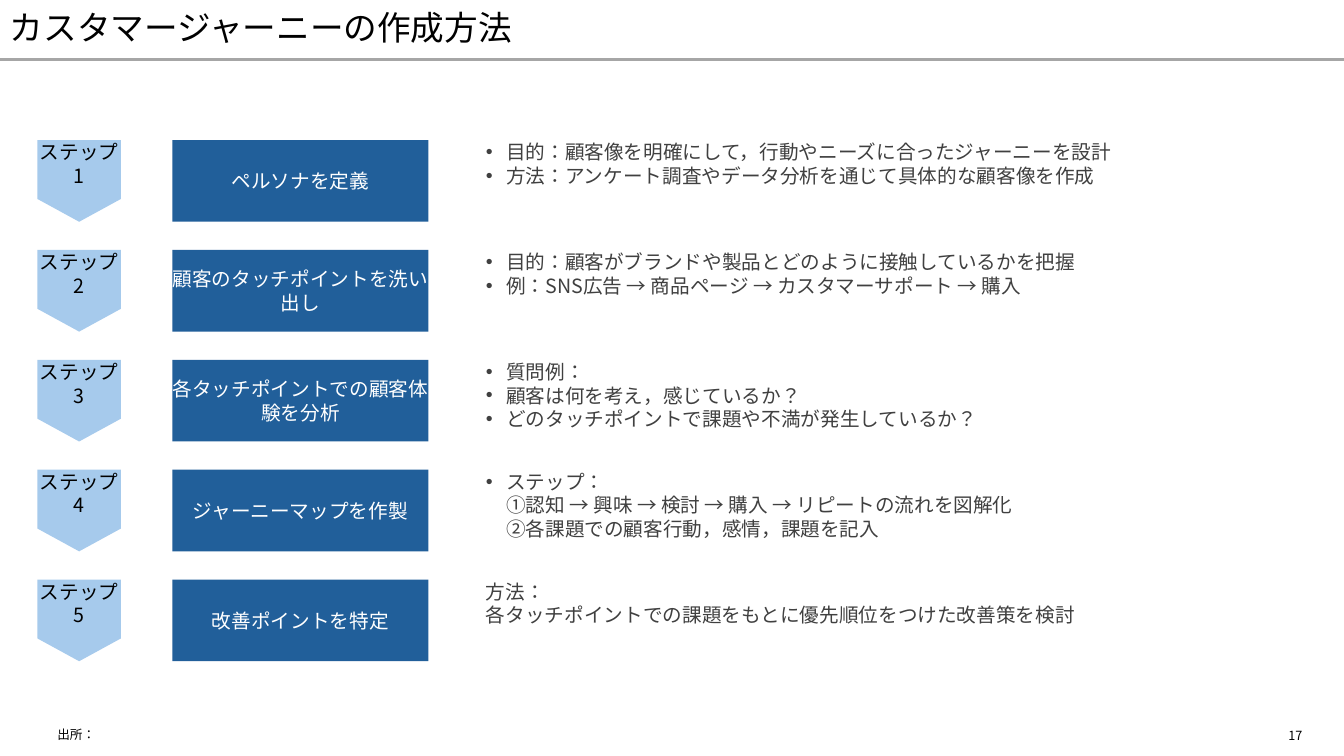
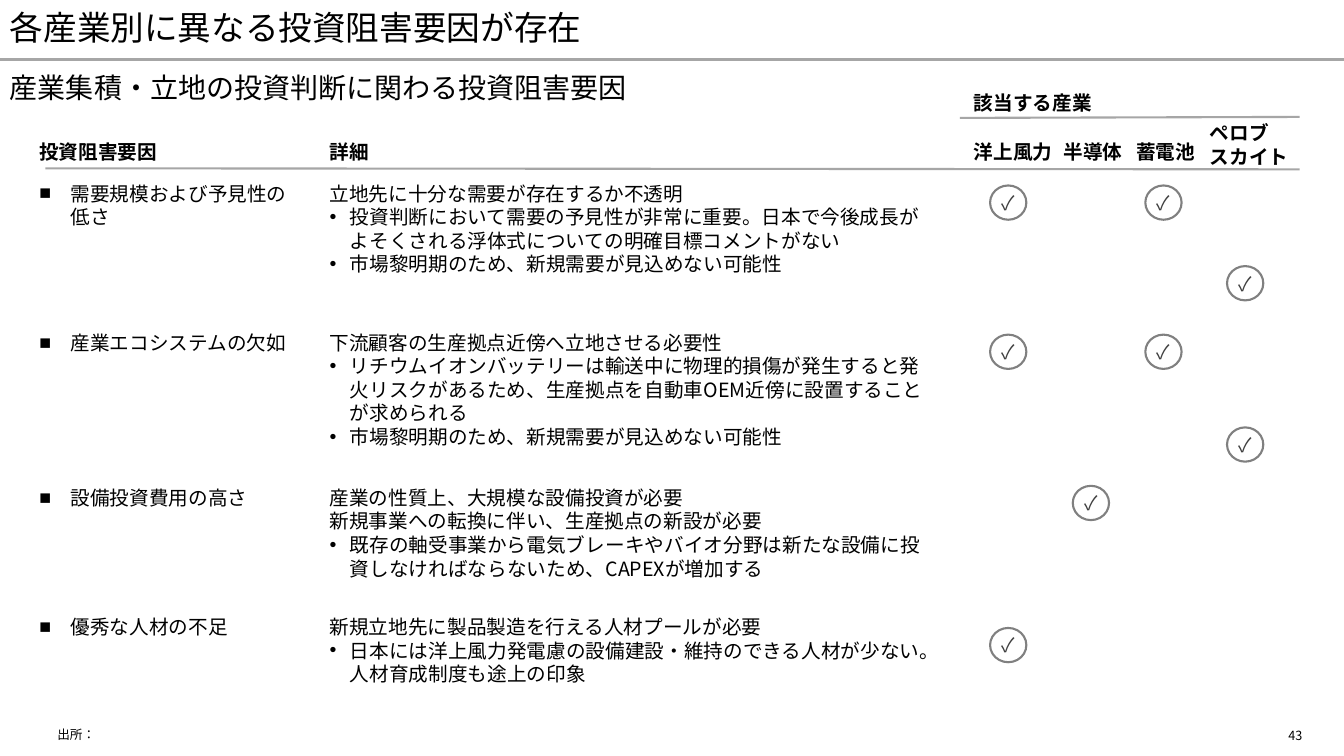
from dataclasses import dataclass

from lxml import etree
from pptx import Presentation
from pptx.dml.color import RGBColor
from pptx.enum.lang import MSO_LANGUAGE_ID
from pptx.enum.shapes import MSO_CONNECTOR, MSO_SHAPE
from pptx.enum.text import MSO_ANCHOR, PP_ALIGN
from pptx.oxml.ns import qn
from pptx.util import Inches, Pt

RECT, PLATE, OVAL = MSO_SHAPE.RECTANGLE, MSO_SHAPE.PENTAGON, MSO_SHAPE.OVAL
STRAIGHT = MSO_CONNECTOR.STRAIGHT
TOP, MID = MSO_ANCHOR.TOP, MSO_ANCHOR.MIDDLE
LEFT, MIDST = PP_ALIGN.LEFT, PP_ALIGN.CENTER
JAPAN = MSO_LANGUAGE_ID.JAPANESE


@dataclass(frozen=True)
class Theme:
    font: str = "Noto Sans CJK JP"
    ink: str = "000000"
    soft: str = "404040"
    white: str = "FFFFFF"
    navy: str = "215F9A"
    sky: str = "A6CAEC"
    rule: str = "A6A6A6"
    ring: str = "808080"
    title: int = 24
    sub: int = 20
    body: int = 14
    foot: int = 9


T = Theme()
WIDE, HIGH, BAND = 13.33, 7.5, 0.59

# Paragraph styles: left margin, first-line indent, bullet element, its attributes
STYLES = {
    "dot": (0.2, -0.2, "a:buChar", {"char": "•"}),
    "box": (0.31, -0.31, "a:buChar", {"char": "■"}),
    "num": (0.39, -0.19, "a:buAutoNum", {"type": "circleNumDbPlain"}),
}

STEPS = [
    ("ペルソナを定義", [
        ("dot", "目的：顧客像を明確にして，行動やニーズに合ったジャーニーを設計"),
        ("dot", "方法：アンケート調査やデータ分析を通じて具体的な顧客像を作成")]),
    ("顧客のタッチポイントを洗い出し", [
        ("dot", "目的：顧客がブランドや製品とどのように接触しているかを把握"),
        ("dot", "例：SNS広告 → 商品ページ → カスタマーサポート → 購入")]),
    ("各タッチポイントでの顧客体験を分析", [
        ("dot", "質問例："),
        ("dot", "顧客は何を考え，感じているか？"),
        ("dot", "どのタッチポイントで課題や不満が発生しているか？")]),
    ("ジャーニーマップを作製", [
        ("dot", "ステップ："),
        ("num", "認知 → 興味 → 検討 → 購入 → リピートの流れを図解化"),
        ("num", "各課題での顧客行動，感情，課題を記入")]),
    ("改善ポイントを特定", [
        ("", "方法："),
        ("", "各タッチポイントでの課題をもとに優先順位をつけた改善策を検討")]),
]

# Column heads: left, top, width, lines
HEADS = [
    (0.39, 1.39, 1.47, ["投資阻害要因"]),
    (3.27, 1.39, 3.14, ["詳細"]),
    (9.66, 0.9, 1.54, ["該当する産業"]),
    (9.66, 1.39, 0.89, ["洋上風力"]),
    (10.55, 1.39, 0.89, ["半導体"]),
    (11.27, 1.39, 0.89, ["蓄電池"]),
    (12, 1.2, 0.89, ["ペロブ", "スカイト"]),
]

# Left edge of the check marks by industry
MARKS = {"wind": 9.82, "chip": 10.64, "cell": 11.36, "solar": 12.17}

# Factors: top, height, name, details, marks as (industry, drop from top)
FACTORS = [
    (1.8, 0.94, "需要規模および予見性の低さ", [
        ("", "立地先に十分な需要が存在するか不透明"),
        ("dot", "投資判断において需要の予見性が非常に重要。日本で今後成長が"
                "よそくされる浮体式についての明確目標コメントがない"),
        ("dot", "市場黎明期のため、新規需要が見込めない可能性")],
     [("wind", 0.04), ("cell", 0.04), ("solar", 0.84)]),
    (3.28, 1.18, "産業エコシステムの欠如", [
        ("", "下流顧客の生産拠点近傍へ立地させる必要性"),
        ("dot", "リチウムイオンバッテリーは輸送中に物理的損傷が発生すると発火リスクが"
                "あるため、生産拠点を自動車OEM近傍に設置することが求められる"),
        ("dot", "市場黎明期のため、新規需要が見込めない可能性")],
     [("wind", 0.04), ("cell", 0.04), ("solar", 0.96)]),
    (4.82, 0.94, "設備投資費用の高さ", [
        ("", "産業の性質上、大規模な設備投資が必要"),
        ("", "新規事業への転換に伴い、生産拠点の新設が必要"),
        ("dot", "既存の軸受事業から電気ブレーキやバイオ分野は新たな設備に"
                "投資しなければならないため、CAPEXが増加する")],
     [("chip", 0)]),
    (6.1, 0.71, "優秀な人材の不足", [
        ("", "新規立地先に製品製造を行える人材プールが必要"),
        ("dot", "日本には洋上風力発電慮の設備建設・維持のできる人材が少ない。"
                "人材育成制度も途上の印象")],
     [("wind", 0.13)]),
]


def rgb(code):
    return RGBColor.from_string(code)


def style(par, kind):
    """Set the indent and bullet of a paragraph."""
    if not kind:
        return
    left, first, tag, attrs = STYLES[kind]
    props = par._p.get_or_add_pPr()
    props.set("marL", str(Inches(left)))
    props.set("indent", str(Inches(first)))
    if tag == "a:buChar":
        etree.SubElement(props, qn("a:buFont"), typeface="Arial")
    etree.SubElement(props, qn(tag), attrs)


def write(shape, lines, size=T.body, color=T.ink, bold=False, align=LEFT,
          anchor=TOP, inset=False, tight=False):
    """Fill a shape with (style, text) lines."""
    frame = shape.text_frame
    frame.word_wrap = True
    frame.vertical_anchor = anchor
    if not inset:
        frame.margin_left = frame.margin_right = 0
        frame.margin_top = frame.margin_bottom = 0
    for i, (kind, text) in enumerate(lines):
        par = frame.add_paragraph() if i else frame.paragraphs[0]
        par.alignment = align
        if tight:
            par.line_spacing = 0.9
        style(par, kind)
        run = par.add_run()
        run.text = text
        font = run.font
        font.size, font.bold, font.name = Pt(size), bold, T.font
        font.color.rgb = rgb(color)
        font.language_id = JAPAN
        etree.SubElement(run._r.get_or_add_rPr(), qn("a:ea"), typeface=T.font)


def label(slide, box, lines, **look):
    shape = slide.shapes.add_textbox(*map(Inches, box))
    write(shape, lines, **look)


def block(slide, kind, box, fill=None, line=None):
    shape = slide.shapes.add_shape(kind, *map(Inches, box))
    shape.shadow.inherit = False
    if fill:
        shape.fill.solid()
        shape.fill.fore_color.rgb = rgb(fill)
    else:
        shape.fill.background()
    if line:
        shape.line.color.rgb = rgb(line)
        shape.line.width = Pt(1.5)
    else:
        shape.line.fill.background()
    return shape


def rule(slide, ends, width=1.5):
    line = slide.shapes.add_connector(STRAIGHT, *map(Inches, ends))
    line.line.color.rgb = rgb(T.rule)
    line.line.width = Pt(width)
    etree.SubElement(line._element.spPr, qn("a:effectLst"))


def page(deck, title, number):
    """Add a slide with its title band, source line and page number."""
    slide = deck.slides.add_slide(deck.slide_layouts[6])
    rule(slide, (0, BAND, WIDE, BAND), 2.25)
    label(slide, (0, 0, WIDE, BAND), [("", title)], size=T.title,
          anchor=MID, inset=True, tight=True)
    label(slide, (0.47, 7.17, 11.02, 0.24), [("", "出所：")], size=T.foot,
          anchor=MID, inset=True)
    label(slide, (12.68, 7.17, 0.59, 0.24), [("", number)], size=T.foot,
          inset=True)
    return slide


def badge(slide, box, text):
    """Place a downward pennant with upright text."""
    x, y, w, h = box
    turned = (x + (w - h) / 2, y + (h - w) / 2, h, w)
    shape = block(slide, PLATE, turned, T.sky)
    shape.rotation = 90
    shape.adjustments[0] = 0.28
    write(shape, [("", text)], align=MIDST)
    shape.text_frame._txBody.bodyPr.set("vert", "vert270")


def step(slide, box, number, name, notes):
    """One row: badge, name and notes."""
    x, y, w, h = box
    badge(slide, (x, y, 0.83, h), f"ステップ{number}")
    card = block(slide, RECT, (x + 1.34, y, 2.54, h), T.navy)
    write(card, [("", name)], color=T.white, align=MIDST, anchor=MID)
    label(slide, (x + 4.45, y, w - 4.45, h), notes, color=T.soft)


def check(slide, x, y):
    ring = block(slide, OVAL, (x, y, 0.36, 0.34), line=T.ring)
    write(ring, [("", "✓")], color=T.soft, align=MIDST, anchor=MID)


def factor(slide, box, name, notes, marks):
    """One row: factor, details and industry marks."""
    x, y, w, h = box
    label(slide, (x, y, 2.56, h), [("box", name)])
    label(slide, (x + 2.88, y, 5.91, h), notes)
    for field, drop in marks:
        check(slide, MARKS[field], y + drop)


def journey(deck):
    slide = page(deck, "カスタマージャーニーの作成方法", "17")
    for i, (name, notes) in enumerate(STEPS):
        step(slide, (0.37, 1.39 + 1.09 * i, 12.6, 0.81), i + 1, name, notes)


def hurdles(deck):
    slide = page(deck, "各産業別に異なる投資阻害要因が存在", "43")
    label(slide, (0, BAND, WIDE, BAND),
          [("", "産業集積・立地の投資判断に関わる投資阻害要因")],
          size=T.sub, anchor=MID, inset=True, tight=True)
    # Column heads and their rules
    for x, y, w, lines in HEADS:
        label(slide, (x, y, w, 0.24 * len(lines)),
              [("", text) for text in lines], bold=True)
    rule(slide, (9.52, 1.17, 12.89, 1.16))
    rule(slide, (0.45, 1.67, 12.89, 1.68))
    # Factor rows
    for y, h, name, notes, marks in FACTORS:
        factor(slide, (0.39, y, 12.5, h), name, notes, marks)


def main():
    deck = Presentation()
    deck.slide_width, deck.slide_height = Inches(WIDE), Inches(HIGH)
    journey(deck)
    hurdles(deck)
    deck.save("out.pptx")


if __name__ == "__main__":
    main()
